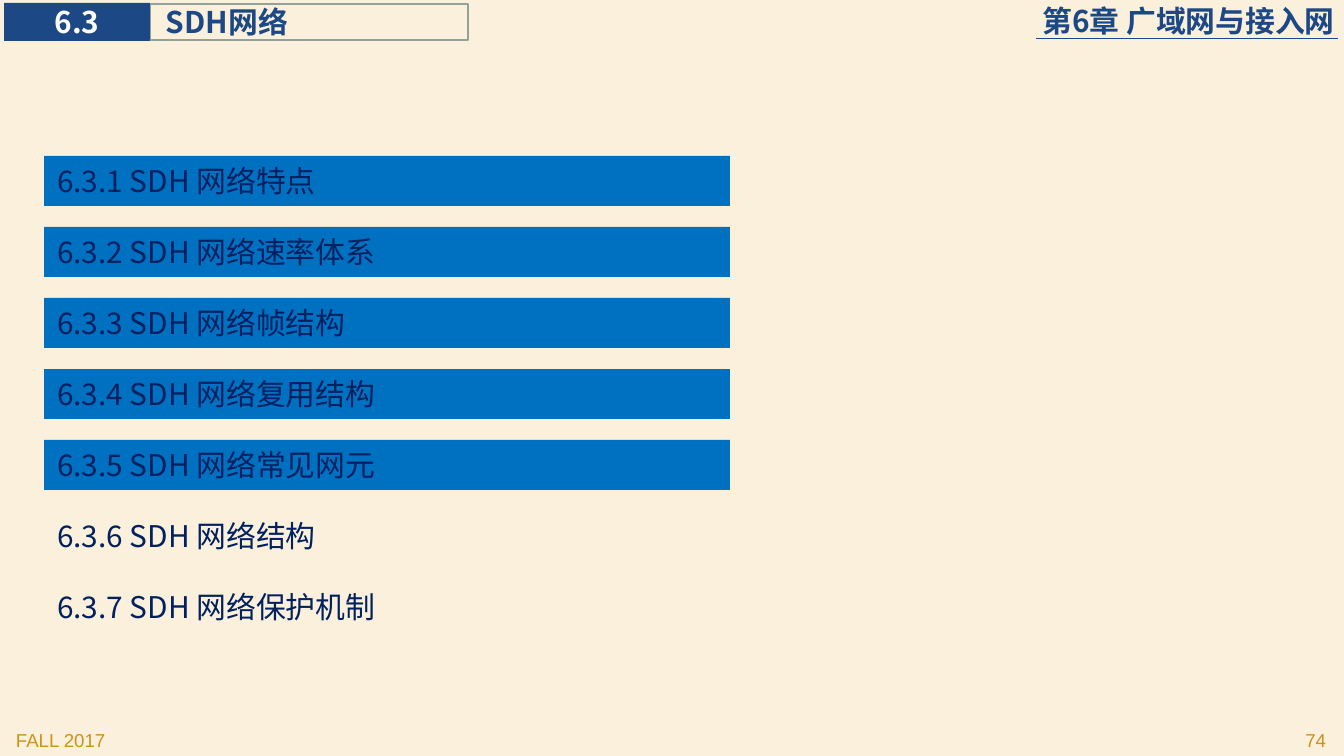
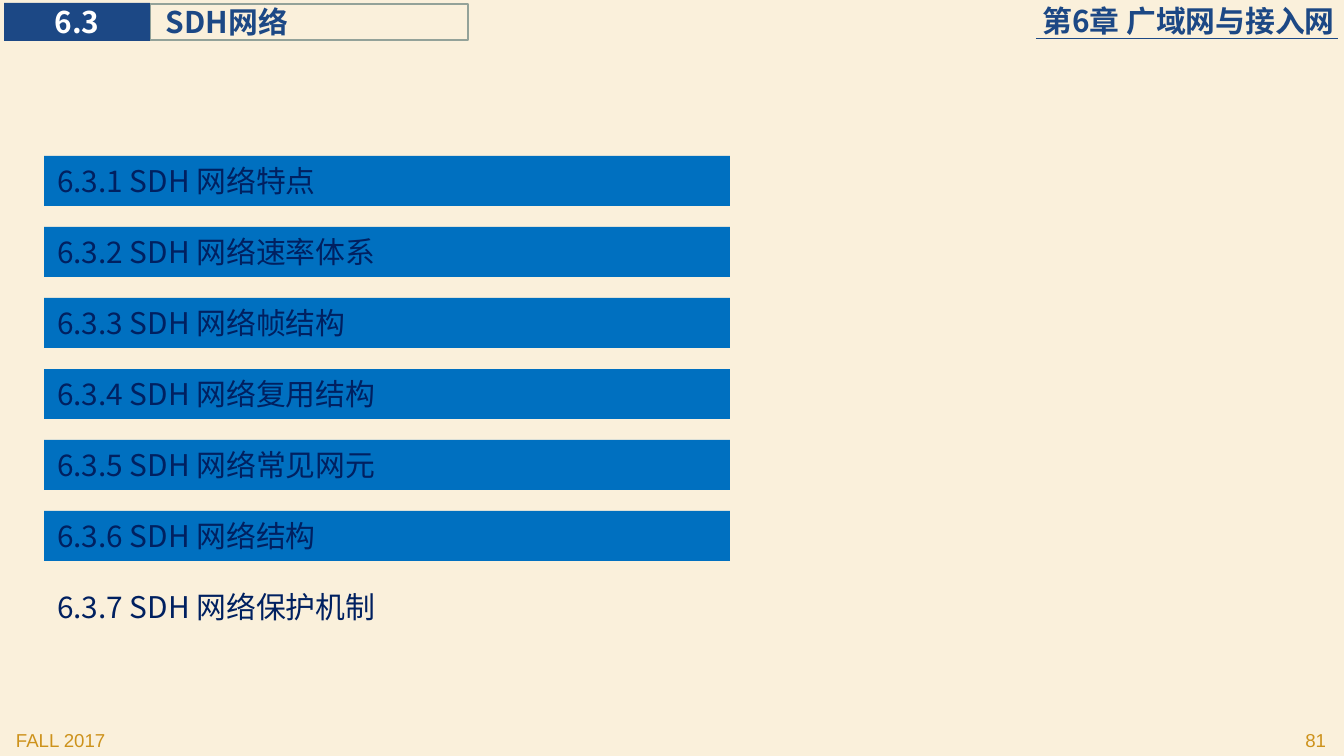
from lxml.etree import SubElement
from pptx import Presentation
from pptx.dml.color import RGBColor
from pptx.enum.shapes import MSO_CONNECTOR, MSO_SHAPE
from pptx.enum.text import MSO_ANCHOR, MSO_AUTO_SIZE, PP_ALIGN
from pptx.oxml.ns import qn
from pptx.util import Pt

CHAPTER = "第6章 广域网与接入网"
SECTION = ("6.3", "SDH网络")
TERM = "FALL 2017"
TOPICS = ["网络特点", "网络速率体系", "网络帧结构", "网络复用结构",
          "网络常见网元", "网络结构", "网络保护机制"]
SLIDES = [{"number": "74", "done": 5}, {"number": "81", "done": 6}]

COLORS = {"paper": "FAF0DB", "navy": "1C4885", "frame": "93A299", "gold": "CD921B",
          "bar": "0070C0", "ink": "002060", "white": "FFFFFF"}
CJK = "Noto Sans CJK SC"
HEADING = {"size": Pt(16), "name": CJK, "bold": True}
TOPIC = {"size": Pt(16), "name": CJK, "bold": False}
FOOTER = {"size": Pt(10), "name": "Arial", "bold": False}
INSETS = (13, 7, 13, 7)
FLUSH = (0, 0, 0, 0)
SIDES = ("left", "top", "right", "bottom")
PX = 914400 / 134.4
WIDTH, HEIGHT = 1344, 756
TOPIC_LEFT, TOPIC_TOP, TOPIC_WIDTH, TOPIC_HEIGHT, TOPIC_PITCH = 44, 156, 686, 50, 71
FOOTER_TOP, FOOTER_WIDTH, FOOTER_HEIGHT = 722, 280, 31


def px(*values):
    return [round(v * PX) for v in values]


def rgb(name):
    return RGBColor.from_string(COLORS[name])


def write(sp, text, font, color, align=PP_ALIGN.LEFT, anchor=MSO_ANCHOR.TOP,
          insets=INSETS, wrap=True):
    tf = sp.text_frame
    margins = {f"margin_{side}": v for side, v in zip(SIDES, px(*insets))}
    frame = {"auto_size": MSO_AUTO_SIZE.NONE, "word_wrap": wrap, "vertical_anchor": anchor}
    for key, value in {**margins, **frame}.items():
        setattr(tf, key, value)
    p = tf.paragraphs[0]
    p.alignment = align
    r = p.add_run()
    r.text = text
    for key, value in font.items():
        setattr(r.font, key, value)
    r.font.color.rgb = rgb(color)
    SubElement(r.font._element, qn("a:ea"), typeface=font["name"])


def add_text(s, box, *args, **kwargs):
    sp = s.shapes.add_textbox(*px(*box))
    write(sp, *args, **kwargs)


def add_bar(s, box, color):
    sp = s.shapes.add_shape(MSO_SHAPE.RECTANGLE, *px(*box))
    sp.shadow.inherit = False
    sp.fill.solid()
    sp.fill.fore_color.rgb = rgb(color)
    sp.line.fill.background()
    return sp


def add_header(s):
    middle = {"anchor": MSO_ANCHOR.MIDDLE}
    number, name = SECTION
    title = s.shapes.title
    title.left, title.top, title.width, title.height = px(150, 4, 318, 36)
    title.line.color.rgb = rgb("frame")
    title.line.width = Pt(0.75)
    write(title, name, HEADING, "navy", insets=(16, 0, 0, 0), **middle)
    write(add_bar(s, (4, 3, 146, 38), "navy"), number, HEADING, "white",
          PP_ALIGN.CENTER, insets=FLUSH, wrap=False, **middle)
    add_text(s, (830, 3, 505, 36), CHAPTER, HEADING, "navy", PP_ALIGN.RIGHT,
             insets=FLUSH, **middle)
    rule = s.shapes.add_connector(MSO_CONNECTOR.STRAIGHT, *px(1036, 38, 1338, 38))
    rule.line.color.rgb = rgb("navy")
    rule.line.width = Pt(0.5)
    SubElement(rule._element.spPr, qn("a:effectLst"))


def add_footer(s, number):
    for left, text, align in [(3, TERM, PP_ALIGN.LEFT), (1059, number, PP_ALIGN.RIGHT)]:
        add_text(s, (left, FOOTER_TOP, FOOTER_WIDTH, FOOTER_HEIGHT), text, FOOTER, "gold", align)


def add_topics(s, done):
    for i, topic in enumerate(TOPICS):
        box = (TOPIC_LEFT, TOPIC_TOP + i * TOPIC_PITCH, TOPIC_WIDTH, TOPIC_HEIGHT)
        text = f"{SECTION[0]}.{i + 1} SDH {topic}"
        if i < done:
            write(add_bar(s, box, "bar"), text, TOPIC, "ink")
        else:
            add_text(s, box, text, TOPIC, "ink")


def main():
    prs = Presentation()
    prs.slide_width, prs.slide_height = px(WIDTH, HEIGHT)
    fill = prs.slide_master.background.fill
    fill.solid()
    fill.fore_color.rgb = rgb("paper")
    for page in SLIDES:
        s = prs.slides.add_slide(prs.slide_layouts[5])
        add_header(s)
        add_footer(s, page["number"])
        add_topics(s, page["done"])
    prs.save("out.pptx")


if __name__ == "__main__":
    main()
